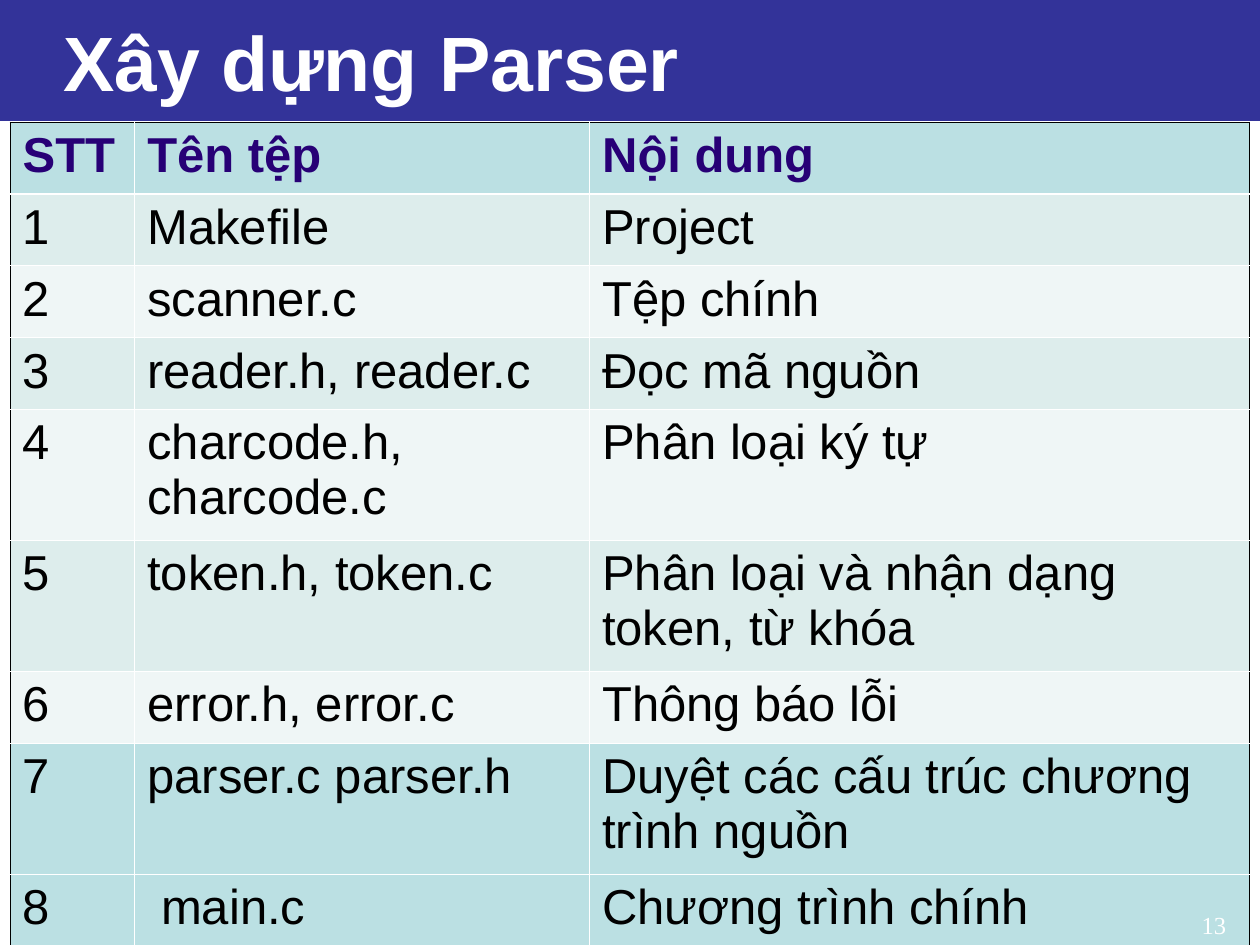
from lxml.etree import SubElement as Sub
from pptx import Presentation
from pptx.dml.color import RGBColor as Color
from pptx.enum.text import MSO_ANCHOR as Anchor, MSO_AUTO_SIZE as Auto, PP_ALIGN as Align
from pptx.oxml.ns import qn
from pptx.util import Inches, Pt

WHITE, BLACK, NAVY, INK = "FFFFFF", "000000", "333399", "270076"
TEAL, MINT, PALE = "BBE0E3", "DDEDEC", "EFF6F6"
THIN, THICK = 0.45, 1.47
LOW, TALL = 0.57, 1.04
COLS = [0.99, 3.61, 5.24]
FILES = [
    (LOW, TEAL, "STT", "Tên tệp", "Nội dung"),
    (LOW, MINT, "1", "Makefile", "Project"),
    (LOW, PALE, "2", "scanner.c", "Tệp chính"),
    (LOW, MINT, "3", "reader.h, reader.c", "Đọc mã nguồn"),
    (TALL, PALE, "4", "charcode.h, charcode.c", "Phân loại ký tự"),
    (TALL, MINT, "5", "token.h, token.c", "Phân loại và nhận dạng token, từ khóa"),
    (LOW, PALE, "6", "error.h, error.c", "Thông báo lỗi"),
    (TALL, TEAL, "7", "parser.c parser.h", "Duyệt các cấu trúc chương trình nguồn"),
    (LOW, TEAL, "8", "main.c", "Chương trình chính"),
]


def tint(code):
    return Color.from_string(code)


def write(frame, text, size=28, face="Arial", color=BLACK, bold=False, align=Align.LEFT):
    frame.word_wrap = True
    para = frame.paragraphs[0]
    para.alignment = align
    run = para.add_run()
    run.text = text
    font = run.font
    font.size, font.name, font.bold = Pt(size), face, bold
    font.color.rgb = tint(color)


def place(shape, box):
    shape.left, shape.top, shape.width, shape.height = map(Inches, box)


def edge(cell, side, color, width):
    line = Sub(cell._tc.get_or_add_tcPr(), qn("a:ln" + side), w=str(Pt(width)))
    fill = Sub(line, qn("a:solidFill"))
    Sub(fill, qn("a:srgbClr"), val=color)


def frame_cell(cell, row, col):
    last = len(FILES) - 1
    edge(cell, "L", BLACK if col == 0 else WHITE, THIN)
    edge(cell, "R", BLACK if col == len(COLS) - 1 else WHITE, THIN)
    edge(cell, "T", BLACK if row == 0 else WHITE, THICK if row == 1 else THIN)
    edge(cell, "B", BLACK if row == last else WHITE, THICK if row == 0 else THIN)


def add_title(slide, box):
    title = slide.shapes.title
    place(title, box)
    title.fill.solid()
    title.fill.fore_color.rgb = tint(NAVY)
    frame = title.text_frame
    frame.auto_size = Auto.NONE
    frame.vertical_anchor = Anchor.MIDDLE
    frame.margin_left = Inches(0.5)
    write(frame, "Xây dựng Parser", size=44, color=WHITE, bold=True)


def add_files(slide, box):
    table = slide.shapes.add_table(len(FILES), len(COLS), *map(Inches, box)).table
    for col, width in zip(table.columns, COLS):
        col.width = Inches(width)
    for r, (height, shade, *words) in enumerate(FILES):
        table.rows[r].height = Inches(height)
        for c, word in enumerate(words):
            cell = table.cell(r, c)
            frame_cell(cell, r, c)
            cell.fill.solid()
            cell.fill.fore_color.rgb = tint(shade)
            cell.margin_left = Inches(0.21 if word == "main.c" else 0.1)
            write(cell.text_frame, word, color=BLACK if r else INK, bold=r == 0)


def add_page(slide, box):
    page = slide.shapes.add_textbox(*map(Inches, box))
    write(page.text_frame, "13", size=14, face="Times New Roman", color=WHITE, align=Align.RIGHT)


def main():
    deck = Presentation()
    deck.slide_width, deck.slide_height = Inches(10), Inches(7.5)
    slide = deck.slides.add_slide(deck.slide_layouts[5])
    add_title(slide, (0, 0, 10, 0.96))
    add_files(slide, (0.08, 0.97, sum(COLS), sum(row[0] for row in FILES)))
    add_page(slide, (7.75, 7.17, 2.08, 0.24))
    deck.save("out.pptx")


if __name__ == "__main__":
    main()
